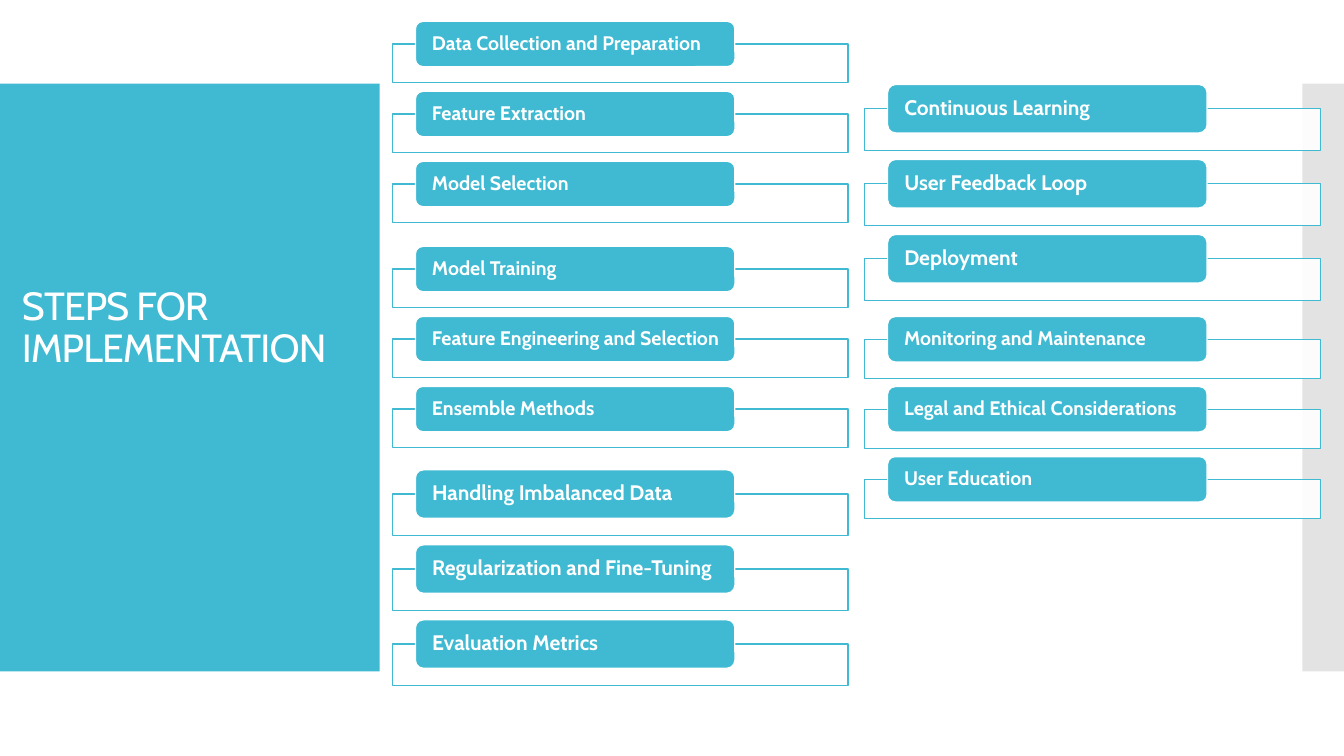
"""Build the implementation steps slide with two columns of labelled frames."""
from lxml.etree import SubElement
from pptx import Presentation
from pptx.dml.color import RGBColor
from pptx.enum.shapes import MSO_SHAPE as Shape
from pptx.enum.text import MSO_ANCHOR as Anchor, MSO_AUTO_SIZE as AutoSize, PP_ALIGN as Align
from pptx.oxml.ns import qn
from pptx.util import Cm, Pt

TITLE = "STEPS FOR IMPLEMENTATION"
LEFT, RIGHT = 9.89, 21.79
GROUPS = [
    (LEFT, 0.54, "compact", ["Data Collection and Preparation", "Feature Extraction", "Model Selection"]),
    (LEFT, 6.21, "compact", ["Model Training", "Feature Engineering and Selection", "Ensemble Methods"]),
    (LEFT, 11.84, "roomy", ["Handling Imbalanced Data", "Regularization and Fine-Tuning", "Evaluation Metrics"]),
    (RIGHT, 2.13, "roomy", ["Continuous Learning", "User Feedback Loop", "Deployment"]),
    (RIGHT, 7.98, "compact", ["Monitoring and Maintenance", "Legal and Ethical Considerations", "User Education"]),
]
SIZES = {
    "compact": {"font": 14, "tab": 1.14, "frame": 0.98, "pitch": 1.764},
    "roomy": {"font": 15, "tab": 1.22, "frame": 1.05, "pitch": 1.89},
}
COLORS = {"accent": "40BAD2", "white": "FFFFFF", "grey": "C8C8C8"}
FONT = "Cabin"
FRAME_WIDTH, TAB_WIDTH, TAB_INDENT = 11.48, 8.05, 0.58
PANEL_TOP, PANEL_HEIGHT = 2.11, 14.81


def color(name):
    return RGBColor.from_string(COLORS[name])


def set_all(target, values):
    for name, value in values.items():
        setattr(target, name, value)


def add_box(shapes, kind, place, fill, line=None, opacity=100):
    box = shapes.add_shape(kind, *map(Cm, place))
    box.shadow.inherit = False
    box.fill.solid()
    box.fill.fore_color.rgb = color(fill)
    if opacity < 100:
        tint = box.fill._xPr.find(qn("a:solidFill"))[0]
        SubElement(tint, qn("a:alpha"), val=str(opacity * 1000))
    if line:
        box.line.color.rgb = color(line)
        box.line.width = Pt(0.85)
    else:
        box.line.fill.background()
    return box


def write(box, text, size, bold, frame_format):
    set_all(box.text_frame, {"word_wrap": True, "auto_size": AutoSize.NONE,
                             "vertical_anchor": Anchor.MIDDLE, **frame_format})
    para = box.text_frame.paragraphs[0]
    set_all(para, {"alignment": Align.LEFT, "line_spacing": 0.9})
    span = para.add_run()
    span.text = text
    set_all(span.font, {"name": FONT, "size": Pt(size), "bold": bold})
    span.font.color.rgb = color("white")
    return span


def add_steps(page, left, top, size, steps):
    group = page.shapes.add_group_shape()
    insets = {"margin_left": Cm(0.36), "margin_right": Cm(0.3), "margin_top": 0, "margin_bottom": 0}
    for row, step in enumerate(steps):
        tab_top = top + row * size["pitch"]
        add_box(group.shapes, Shape.RECTANGLE,
                (left, tab_top + size["tab"] / 2, FRAME_WIDTH, size["frame"]), "white", "accent", 90)
        tab = add_box(group.shapes, Shape.ROUNDED_RECTANGLE,
                      (left + TAB_INDENT, tab_top, TAB_WIDTH, size["tab"]), "accent", "white")
        write(tab, step, size["font"], True, insets)


def main():
    deck = Presentation()
    set_all(deck, {"slide_width": Cm(33.87), "slide_height": Cm(19.05)})
    page = deck.slides.add_slide(deck.slide_layouts[5])
    panel = add_box(page.shapes, Shape.RECTANGLE, (0, PANEL_TOP, 9.57, PANEL_HEIGHT), "accent")
    add_box(page.shapes, Shape.RECTANGLE, (32.82, PANEL_TOP, 1.05, PANEL_HEIGHT), "grey", opacity=50)

    title = page.shapes.title
    set_all(title, {"left": Cm(0.3), "top": Cm(1.98), "width": Cm(8.92), "height": Cm(12.6)})
    span = write(title, TITLE, 28, False, {})
    span.font._element.set("spc", "-60")
    panel.element.addnext(title.element)

    for left, top, size, steps in GROUPS:
        add_steps(page, left, top, SIZES[size], steps)
    deck.save("out.pptx")


if __name__ == "__main__":
    main()
